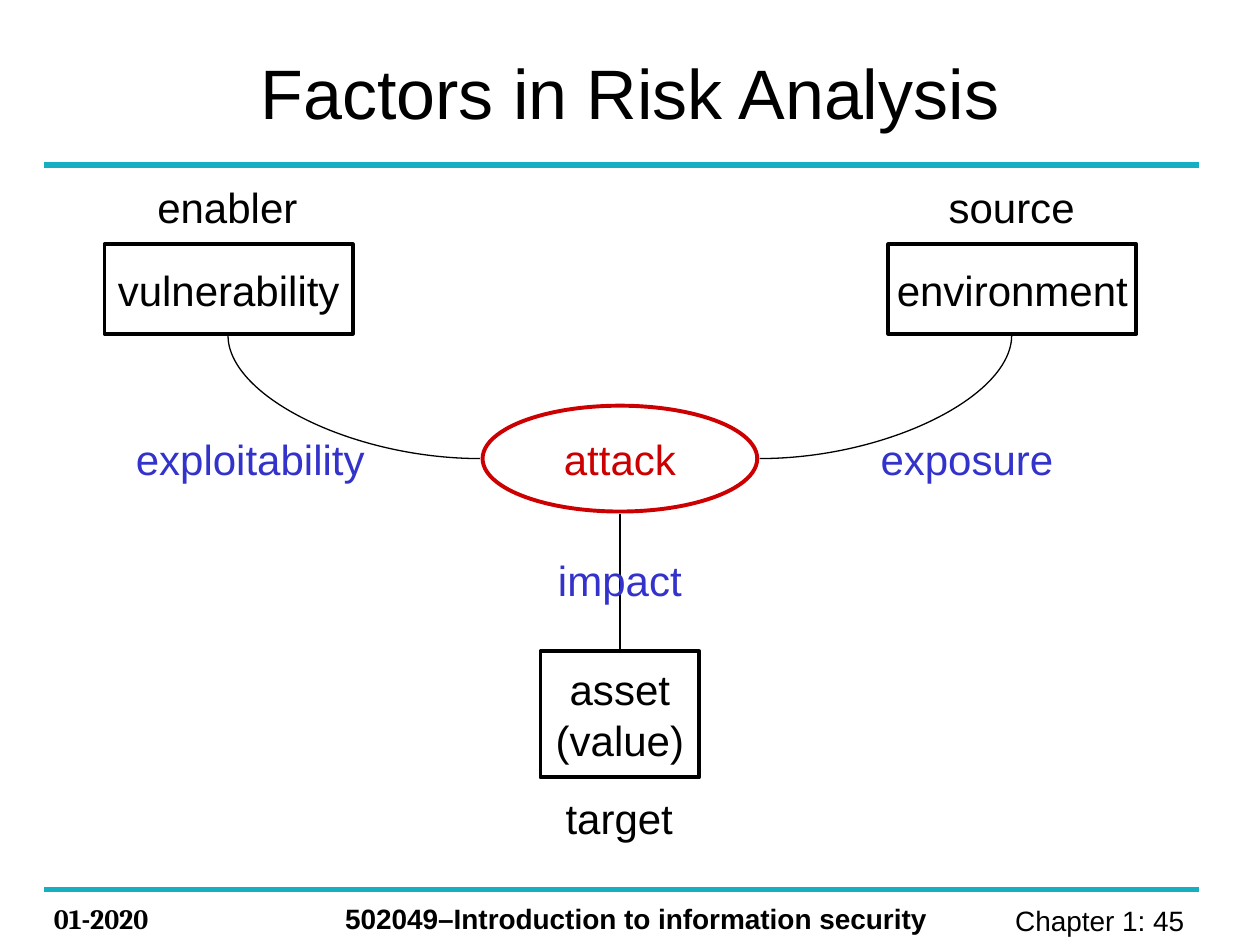
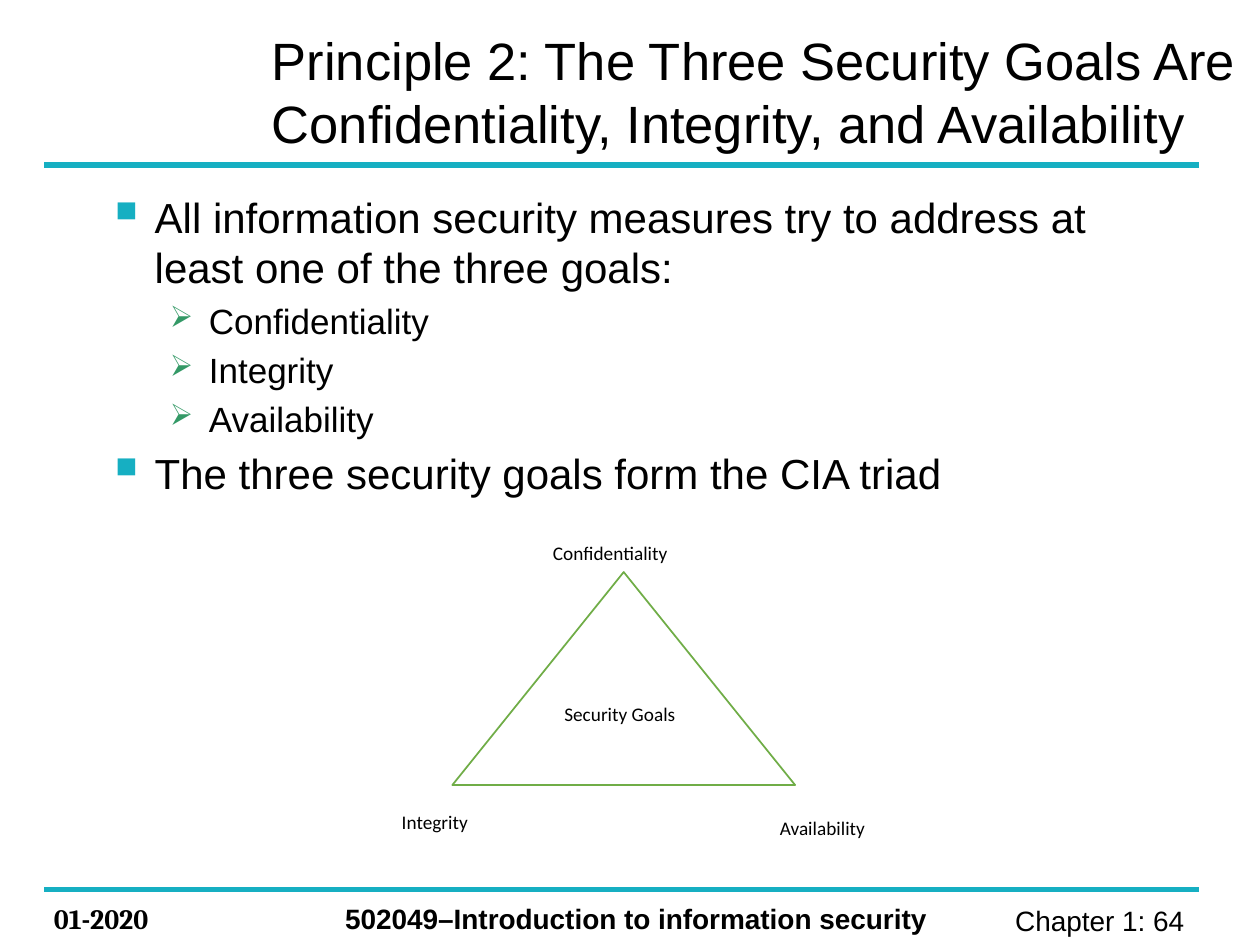
from lxml.etree import SubElement
from pptx import Presentation
from pptx.dml.color import RGBColor
from pptx.enum.shapes import MSO_CONNECTOR as LINK, MSO_SHAPE as SHAPE
from pptx.enum.text import MSO_ANCHOR as ANCHOR, PP_ALIGN as ALIGN
from pptx.oxml.ns import qn
from pptx.util import Inches, Pt

COLORS = {"text": "000000", "band": "16AFC2", "attack": "CC0000", "relation": "3333CC",
          "arrow": "339966", "triangle": "70AD47", "paper": "FFFFFF"}

BAND_LEFT, BAND_RIGHT = 0.35, 9.52
BAND_TOPS = (1.31, 7.06)
FOOTERS = [
    ("Chapter 1: {number} ", (7.36, 7.12, 2.2, 0.37), {"size": 16}, {"alignment": ALIGN.RIGHT}),
    ("01-2020", (0.33, 7.11, 1.33, 0.37), {"size": 16, "name": "Cambria", "bold": True}, {}),
    ("502049–Introduction to information security", (2.64, 7.11, 5.04, 0.37),
     {"size": 16, "bold": True}, {}),
]

RISK = {
    "number": 45,
    "title": ("Factors in Risk Analysis", (1.97, 0.29, 8.03, 0.87), 40, ANCHOR.MIDDLE),
    "nodes": {
        "attack": (["attack"], SHAPE.OVAL, (3.83, 3.22, 2.18, 0.84), "attack"),
        "asset": (["asset", "(value)"], SHAPE.RECTANGLE, (4.29, 5.17, 1.26, 1), "text"),
        "vulnerability": (["vulnerability"], SHAPE.RECTANGLE, (0.83, 1.94, 1.97, 0.71), "text"),
        "environment": (["environment"], SHAPE.RECTANGLE, (7.05, 1.94, 1.97, 0.71), "text"),
    },
    "curves": [((3.81, 3.64), (1.81, 2.66)), ((6.03, 3.64), (8.03, 2.66))],
    "impact_line": ((4.92, 4.08), (4.92, 5.17)),
    "labels": [
        ("enabler", 1.15, 1.39, 1.32, "text"),
        ("source", 7.43, 1.39, 1.2, "text"),
        ("target", 4.39, 6.24, 1.05, "text"),
        ("exploitability", 0.98, 3.39, 2.02, "relation"),
        ("exposure", 6.89, 3.39, 1.57, "relation"),
        ("impact", 4.33, 4.35, 1.18, "relation"),
    ],
}

GOALS = {
    "number": 64,
    "title": ("Principle 2: The Three Security Goals Are Confidentiality, Integrity, and Availability",
              (2.06, 0.17, 7.94, 1.25), 30, ANCHOR.TOP),
    "body_at": (0.75, 1.47, 8.5, 5.43),
    "points": [
        (0, "All information security measures try to address at least one of the three goals:"),
        (1, "Confidentiality"),
        (1, "Integrity"),
        (1, "Availability"),
        (0, "The three security goals form the CIA triad"),
    ],
    "triangle_at": (3.59, 4.54, 2.72, 1.69),
    "corners": [
        ("Security Goals", (4.38, 5.51, 1.18, 0.35)),
        ("Confidentiality", (4.29, 4.23, 1.44, 0.28)),
        ("Integrity", (3.09, 6.37, 1.2, 0.33)),
        ("Availability", (6.09, 6.42, 0.98, 0.27)),
    ],
}

LEVELS = [
    {"size": 24, "left": 0.38, "hang": 0.38, "mark": "▪", "color": "band", "percent": 125},
    {"size": 20, "left": 0.81, "hang": 0.31, "mark": "➢", "color": "arrow", "percent": 85},
]


def rgb(name):
    return RGBColor.from_string(COLORS[name])


def inches(lengths):
    return [Inches(length) for length in lengths]


def write(box, lines, font, para_format=None, wrap=True, anchor=ANCHOR.TOP):
    frame = box.text_frame
    frame.word_wrap = wrap
    frame.vertical_anchor = anchor
    values = {"name": "Arial", "bold": False, **font, "size": Pt(font["size"])}
    color = values.pop("color", "text")
    for index, line in enumerate(lines):
        para = frame.add_paragraph() if index else frame.paragraphs[0]
        for key, value in {"alignment": ALIGN.LEFT, **(para_format or {})}.items():
            setattr(para, key, value)
        span = para.add_run()
        span.text = line
        for key, value in values.items():
            setattr(span.font, key, value)
        span.font.color.rgb = rgb(color)


def add_text(page, text, at, font, para_format=None, **layout):
    box = page.shapes.add_textbox(*inches(at))
    write(box, [text], font, para_format, **layout)


def add_figure(page, kind, at, fill=None, line=None, width=1):
    figure = page.shapes.add_shape(kind, *inches(at))
    figure.shadow.inherit = False
    if fill:
        figure.fill.solid()
        figure.fill.fore_color.rgb = rgb(fill)
    else:
        figure.fill.background()
    if line:
        figure.line.color.rgb = rgb(line)
        figure.line.width = Pt(width)
    else:
        figure.line.fill.background()
    return figure


def add_link(page, start, end, color="text", width=0.75, kind=LINK.STRAIGHT):
    link = page.shapes.add_connector(kind, *inches(start + end))
    link.line.color.rgb = rgb(color)
    link.line.width = Pt(width)
    properties = link._element.spPr
    SubElement(properties, qn("a:effectLst"))
    if kind == LINK.CURVE:
        properties.find(qn("a:prstGeom")).set("prst", "curvedConnector2")
    return link


def add_bullet(para, level):
    style = LEVELS[level]
    properties = para._p.get_or_add_pPr()
    properties.set("marL", str(Inches(style["left"])))
    properties.set("indent", str(-Inches(style["hang"])))
    before = SubElement(properties, qn("a:spcBef"))
    SubElement(before, qn("a:spcPct"), val="20000")
    color = SubElement(properties, qn("a:buClr"))
    SubElement(color, qn("a:srgbClr"), val=COLORS[style["color"]])
    SubElement(properties, qn("a:buSzPct"), val=str(style["percent"] * 1000))
    SubElement(properties, qn("a:buChar"), char=style["mark"])


def add_page(deck, content):
    page = deck.slides.add_slide(deck.slide_layouts[6])
    for top in BAND_TOPS:
        add_link(page, (BAND_LEFT, top), (BAND_RIGHT, top), "band", 3)
    for text, at, font, para_format in FOOTERS:
        add_text(page, text.format(number=content["number"]), at, font, para_format)
    text, at, size, anchor = content["title"]
    add_text(page, text, at, {"size": size}, anchor=anchor)
    return page


def build_risk(deck):
    page = add_page(deck, RISK)
    nodes = {}
    for name, (lines, kind, at, color) in RISK["nodes"].items():
        nodes[name] = add_figure(page, kind, at, line=color, width=2.25)
        write(nodes[name], lines, {"size": 24, "color": color},
              {"alignment": ALIGN.CENTER}, wrap=False, anchor=ANCHOR.MIDDLE)
    for start, end in RISK["curves"]:
        add_link(page, start, end, kind=LINK.CURVE)
    add_link(page, *RISK["impact_line"]).end_connect(nodes["asset"], 0)
    for text, left, top, width, color in RISK["labels"]:
        add_text(page, text, (left, top, width, 0.5), {"size": 24, "color": color}, wrap=False)


def build_goals(deck):
    page = add_page(deck, GOALS)
    body = page.shapes.add_textbox(*inches(GOALS["body_at"]))
    write(body, [text for _, text in GOALS["points"]], {"size": 24})
    for para, (level, _) in zip(body.text_frame.paragraphs, GOALS["points"]):
        para.level = level
        para.runs[0].font.size = Pt(LEVELS[level]["size"])
        add_bullet(para, level)
    add_figure(page, SHAPE.ISOSCELES_TRIANGLE, GOALS["triangle_at"], "paper", "triangle")
    for text, at in GOALS["corners"]:
        label = add_figure(page, SHAPE.RECTANGLE, at, "paper")
        write(label, [text], {"size": 11, "name": "Calibri"},
              {"line_spacing": 1.07, "space_after": Pt(8)})


def main():
    deck = Presentation()
    deck.slide_width, deck.slide_height = inches((10, 7.5))
    build_risk(deck)
    build_goals(deck)
    deck.save("out.pptx")


if __name__ == "__main__":
    main()
